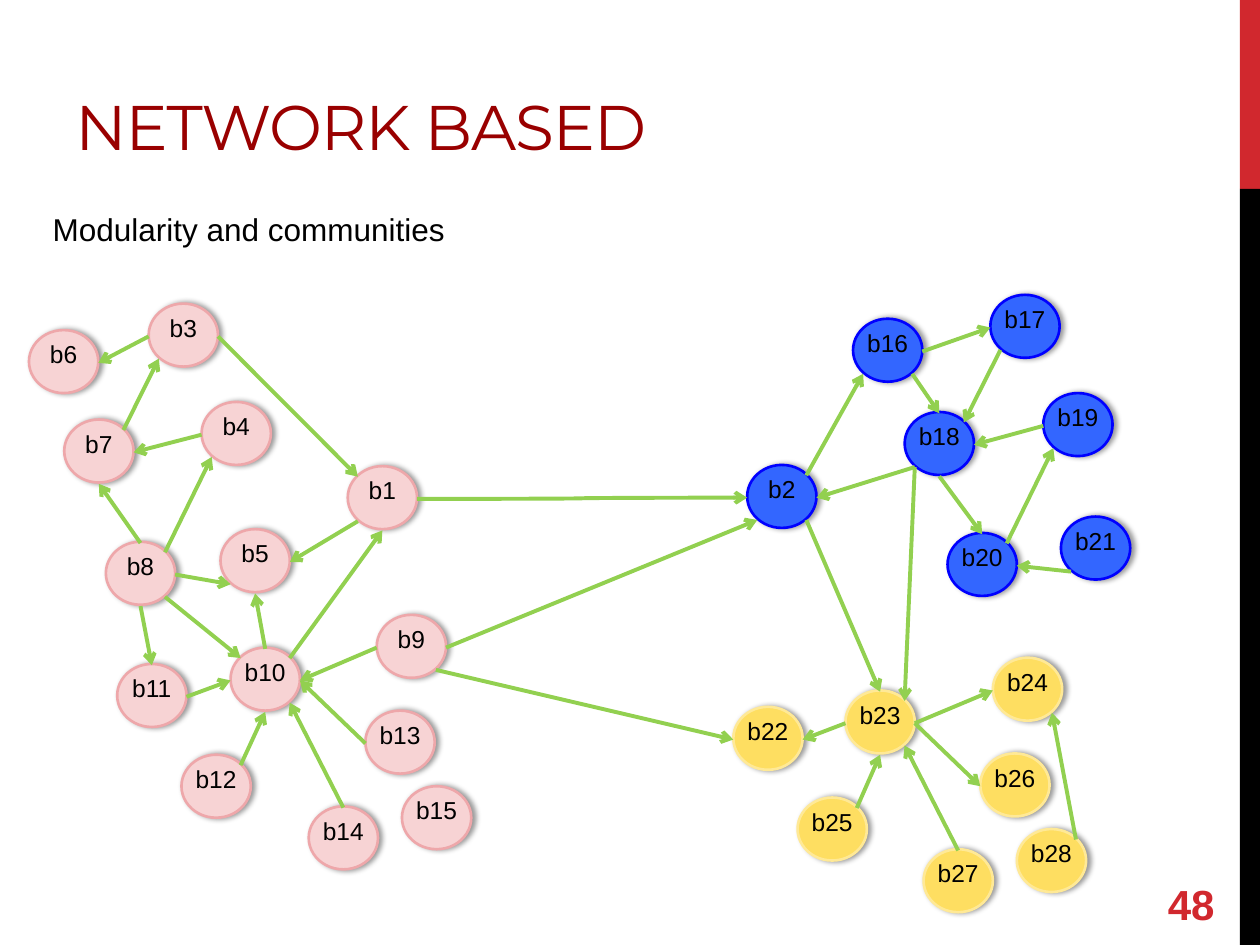
from lxml.etree import SubElement
from pptx import Presentation
from pptx.dml.color import RGBColor
from pptx.enum.shapes import MSO_CONNECTOR, MSO_SHAPE
from pptx.enum.text import MSO_ANCHOR, PP_ALIGN
from pptx.oxml import parse_xml
from pptx.oxml.ns import nsdecls, qn
from pptx.util import Cm, Pt

INCH = 2.54  # layout numbers below are in inches
NODE_W, NODE_H = 0.55, 0.5
COLORS = {
    "red": "D1282E", "black": "000000", "title": "990000", "arrow": "92D050",
    "pink": "F7D3D4", "pink line": "EEA7AA",
    "blue": "3366FF", "blue line": "0000FF",
    "yellow": "FEDE61", "yellow line": "FFE996",
}
RGB = {name: RGBColor.from_string(value) for name, value in COLORS.items()}


def cm(*inches):
    return [Cm(v * INCH) for v in inches]


def write(tf, text, color, **font):
    p = tf.paragraphs[0]
    r = p.add_run()
    r.text = text
    for key, value in font.items():
        setattr(r.font, key, value)
    r.font.color.rgb = RGB[color]
    return p, r


prs = Presentation()
prs.slide_width, prs.slide_height = Cm(25.4), Cm(19.05)
s = prs.slides.add_slide(prs.slide_layouts[6])

# Side bars
for top, height, color in [(0, 1.5, "red"), (1.5, 6, "black")]:
    sp = s.shapes.add_shape(MSO_SHAPE.RECTANGLE, *cm(9.84, top, 0.16, height))
    sp.shadow.inherit = False
    sp.fill.solid()
    sp.fill.fore_color.rgb = RGB[color]
    sp.line.fill.background()

# Title, subtitle and slide number
texts = [
    ("NETWORK BASED", (0.5, 0.17, 8.39, 1.17), MSO_ANCHOR.BOTTOM, "title",
     {"name": "Montserrat", "size": Pt(36)}),
    ("Modularity and communities", (0.32, 1.62, 4.51, 0.4), MSO_ANCHOR.TOP, "black",
     {"name": "Arial", "size": Pt(18)}),
    ("48", (9.17, 6.97, 0.83, 0.4), MSO_ANCHOR.MIDDLE, "red",
     {"name": "Arial", "size": Pt(24), "bold": True}),
]
for text, box, anchor, color, font in texts:
    tf = s.shapes.add_textbox(*cm(*box)).text_frame
    tf.word_wrap = True
    tf.vertical_anchor = anchor
    p, r = write(tf, text, color, **font)
    if color == "title":
        r.font._element.set("spc", "-60")

# Nodes of each community: number -> left, top
communities = {
    "pink": {
        1: (2.76, 3.7), 3: (1.18, 2.41), 4: (1.6, 3.19), 5: (1.75, 4.2),
        6: (0.23, 2.62), 7: (0.51, 3.33), 8: (0.84, 4.3), 9: (2.99, 4.88),
        10: (1.83, 5.14), 11: (0.93, 5.27), 12: (1.44, 5.99), 13: (2.9, 5.64),
        14: (2.45, 6.4), 15: (3.19, 6.24),
    },
    "blue": {
        2: (5.93, 3.69), 16: (6.77, 2.53), 17: (7.86, 2.34), 18: (7.18, 3.27),
        19: (8.28, 3.12), 20: (7.52, 4.23), 21: (8.42, 4.1),
    },
    "yellow": {
        22: (5.82, 5.61), 23: (6.71, 5.48), 24: (7.88, 5.22), 25: (6.33, 6.33),
        26: (7.78, 5.98), 27: (7.33, 6.74), 28: (8.07, 6.58),
    },
}
SHADOW = (
    f'<a:effectLst {nsdecls("a")}><a:outerShdw blurRad="39370" dist="22860" dir="0">'
    '<a:srgbClr val="000000"><a:alpha val="40000"/></a:srgbClr>'
    "</a:outerShdw></a:effectLst>"
)
centers = {}
for color, nodes in communities.items():
    for number, (x, y) in nodes.items():
        centers[number] = (x + NODE_W / 2, y + NODE_H / 2)
        sp = s.shapes.add_shape(MSO_SHAPE.OVAL, *cm(x, y, NODE_W, NODE_H))
        sp.fill.solid()
        sp.fill.fore_color.rgb = RGB[color]
        sp.line.color.rgb = RGB[color + " line"]
        sp.line.width = Pt(1.5)
        sp._element.spPr.append(parse_xml(SHADOW))
        tf = sp.text_frame
        tf.word_wrap = False
        tf.vertical_anchor = MSO_ANCHOR.TOP
        for side in ("left", "top", "right", "bottom"):
            setattr(tf, "margin_" + side, 0)
        p, r = write(tf, f"b{number}", "black", name="Arial", size=Pt(14))
        p.alignment = PP_ALIGN.CENTER

# Arrows: source node and side, target node and side
D = 0.5 ** 0.5
SIDES = {
    "N": (0, -1), "S": (0, 1), "W": (-1, 0), "E": (1, 0),
    "NW": (-D, -D), "NE": (D, -D), "SW": (-D, D), "SE": (D, D),
}
ARROWS = [
    # within the pink community
    (3, "W", 6, "E"), (7, "NE", 3, "SW"), (4, "W", 7, "E"), (8, "N", 7, "S"),
    (12, "NE", 10, "S"), (9, "W", 10, "E"), (8, "NE", 4, "SW"), (8, "E", 5, "SW"),
    (14, "N", 10, "SE"), (13, "W", 10, "E"), (11, "E", 10, "W"), (3, "E", 1, "NW"),
    (1, "SW", 5, "E"), (10, "NE", 1, "S"), (10, "N", 5, "S"), (8, "S", 11, "N"),
    (8, "SE", 10, "NW"),
    # within the blue community
    (16, "E", 17, "W"), (17, "SW", 18, "NE"), (19, "W", 18, "E"), (18, "S", 20, "N"),
    (2, "NE", 16, "SW"), (18, "SW", 2, "E"), (20, "NE", 19, "SW"), (21, "SW", 20, "E"),
    (16, "SE", 18, "N"),
    # within the yellow community
    (25, "NE", 23, "S"), (23, "E", 24, "W"), (27, "N", 23, "SE"), (23, "E", 26, "W"),
    (28, "NE", 24, "SE"), (23, "W", 22, "E"),
    # between communities
    (1, "E", 2, "W"), (9, "E", 2, "SW"), (9, "SE", 22, "W"), (2, "SE", 23, "N"),
    (18, "SW", 23, "NE"),
]
for source, out_side, target, in_side in ARROWS:
    points = []
    for node, side in ((source, out_side), (target, in_side)):
        (x, y), (dx, dy) = centers[node], SIDES[side]
        points += [x + dx * NODE_W / 2, y + dy * NODE_H / 2 + 0.01]
    curved = (source, target) == (1, 2)
    kind = MSO_CONNECTOR.CURVE if curved else MSO_CONNECTOR.STRAIGHT
    c = s.shapes.add_connector(kind, *cm(*points))
    c.line.color.rgb = RGB["arrow"]
    c.line.width = Pt(2.25)
    SubElement(c.line._get_or_add_ln(), qn("a:tailEnd"), type="arrow")
    SubElement(c._element.spPr, qn("a:effectLst"))

prs.save("out.pptx")
